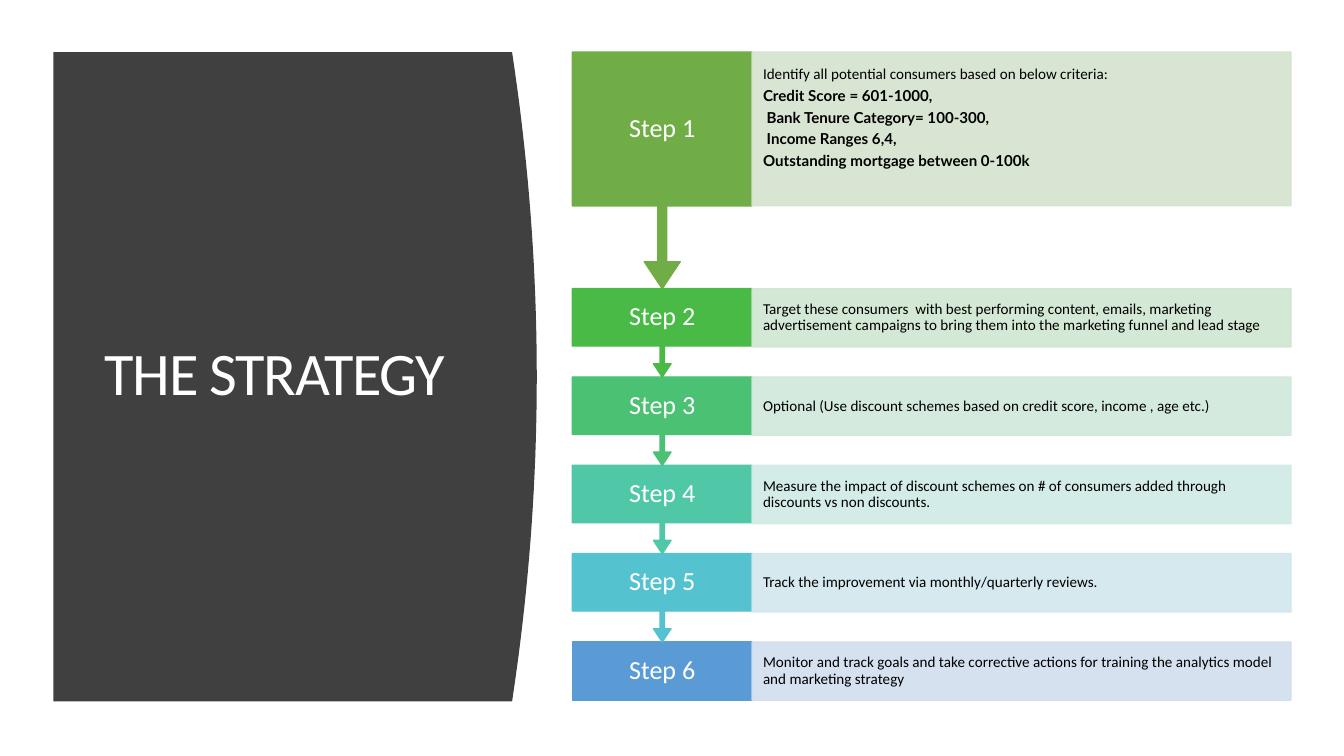
from lxml.etree import SubElement
from pptx import Presentation
from pptx.dml.color import RGBColor
from pptx.enum.shapes import MSO_SHAPE
from pptx.enum.text import MSO_ANCHOR, PP_ALIGN
from pptx.oxml.ns import qn
from pptx.util import Cm, Pt

WHITE = RGBColor(0xFF, 0xFF, 0xFF)
BLACK = RGBColor(0x00, 0x00, 0x00)
CHARCOAL = RGBColor(0x40, 0x40, 0x40)
STEP_COLORS = [RGBColor.from_string(c) for c in
               ("70AD47", "4ABA46", "4BC174", "50C8A7", "55C3CF", "5B9BD5")]
DETAIL_COLORS = [RGBColor.from_string(c) for c in
                 ("D5E3CF", "CFE6D1", "D0E8DB", "D0EBE6", "D1E7ED", "D2DEEF")]
DETAILS = [
    ["Identify all potential consumers based on below criteria:",
     "Credit Score = 601-1000,",
     " Bank Tenure Category= 100-300,",
     " Income Ranges 6,4,",
     "Outstanding mortgage between 0-100k"],
    ["Target these consumers  with best performing content, emails, marketing "
     "advertisement campaigns to bring them into the marketing funnel and lead stage"],
    ["Optional (Use discount schemes based on credit score, income , age etc.)"],
    ["Measure the impact of discount schemes on # of consumers added through "
     "discounts vs non discounts."],
    ["Track the improvement via monthly/quarterly reviews."],
    ["Monitor and track goals and take corrective actions for training the "
     "analytics model and marketing strategy"],
]

TOP, BOTTOM = 1.34, 18.03
STEP_LEFT, STEP_WIDTH = 14.71, 4.62
DETAIL_LEFT, DETAIL_WIDTH = STEP_LEFT + STEP_WIDTH, 13.85
ROW_TOPS = [TOP] + [7.42 + 2.27 * i for i in range(5)]
ROW_HEIGHTS = [3.95] + [1.5] * 5


def add_block(kind, left, top, width, height, color):
    sp = s.shapes.add_shape(kind, Cm(left), Cm(top), Cm(width), Cm(height))
    sp.shadow.inherit = False
    sp.fill.solid()
    sp.fill.fore_color.rgb = color
    sp.line.color.rgb = color
    sp.line.width = Pt(1)
    return sp


def write_lines(sp, lines, side_margin, align, size, color):
    tf = sp.text_frame
    margins = {"margin_left": Cm(side_margin), "margin_right": Cm(side_margin),
               "margin_top": Cm(0.38), "margin_bottom": Cm(0.38),
               "word_wrap": True,
               "vertical_anchor": MSO_ANCHOR.TOP if len(lines) > 1 else MSO_ANCHOR.MIDDLE}
    for name, value in margins.items():
        setattr(tf, name, value)
    for i, line in enumerate(lines):
        p = tf.add_paragraph() if i else tf.paragraphs[0]
        for name, value in {"alignment": align, "line_spacing": 0.9,
                            "space_after": Pt(size * 0.35)}.items():
            setattr(p, name, value)
        r = p.add_run()
        r.text = line
        for name, value in {"name": "Lato" if i else "Calibri",
                            "size": Pt(size), "bold": i > 0}.items():
            setattr(r.font, name, value)
        r.font.color.rgb = color


prs = Presentation()
prs.slide_width, prs.slide_height = Cm(34.54), Cm(19.43)
s = prs.slides.add_slide(prs.slide_layouts[5])

edge = []
for i in range(41):
    t = i / 40
    edge.append((Cm(13.16 + 2.54 * t * (1 - t)), Cm(TOP + (BOTTOM - TOP) * t)))
builder = s.shapes.build_freeform(Cm(1.37), Cm(TOP))
builder.add_line_segments(edge + [(Cm(1.37), Cm(BOTTOM))], close=True)
panel = builder.convert_to_shape()
panel.shadow.inherit = False
panel.fill.solid()
panel.fill.fore_color.rgb = CHARCOAL
panel.line.fill.background()

title = s.shapes.title
title._element.addprevious(panel._element)
for name, value in {"left": Cm(2.44), "top": Cm(2.87),
                    "width": Cm(9.68), "height": Cm(13.59)}.items():
    setattr(title, name, value)
tf = title.text_frame
tf.word_wrap = True
tf.vertical_anchor = MSO_ANCHOR.MIDDLE
p = tf.paragraphs[0]
p.alignment = PP_ALIGN.LEFT
p.line_spacing = 0.9
r = p.add_run()
r.text = "THE STRATEGY"
r.font.name = "Calibri"
r.font.size = Pt(44)
r.font.color.rgb = WHITE
r.font._element.set("spc", "-100")

for i in reversed(range(len(DETAILS))):
    top, height = ROW_TOPS[i], ROW_HEIGHTS[i]
    if i < len(DETAILS) - 1:
        step = add_block(MSO_SHAPE.DOWN_ARROW_CALLOUT, STEP_LEFT, top, STEP_WIDTH,
                         ROW_TOPS[i + 1] - top, STEP_COLORS[i])
        for j, value in enumerate((0.05, 0.1, 0.15, 0.65)):
            step.adjustments[j] = value
    else:
        step = add_block(MSO_SHAPE.RECTANGLE, STEP_LEFT, top, STEP_WIDTH, height,
                         STEP_COLORS[i])
    write_lines(step, [f"Step {i + 1}"], 0.33, PP_ALIGN.CENTER, 19, WHITE)

    detail = add_block(MSO_SHAPE.RECTANGLE, DETAIL_LEFT, top, DETAIL_WIDTH, height,
                       DETAIL_COLORS[i])
    for color in detail._element.spPr.iter(qn("a:srgbClr")):
        SubElement(color, qn("a:alpha"), val="90000")
    write_lines(detail, DETAILS[i], 0.28, PP_ALIGN.LEFT, 11, BLACK)

prs.save("out.pptx")
